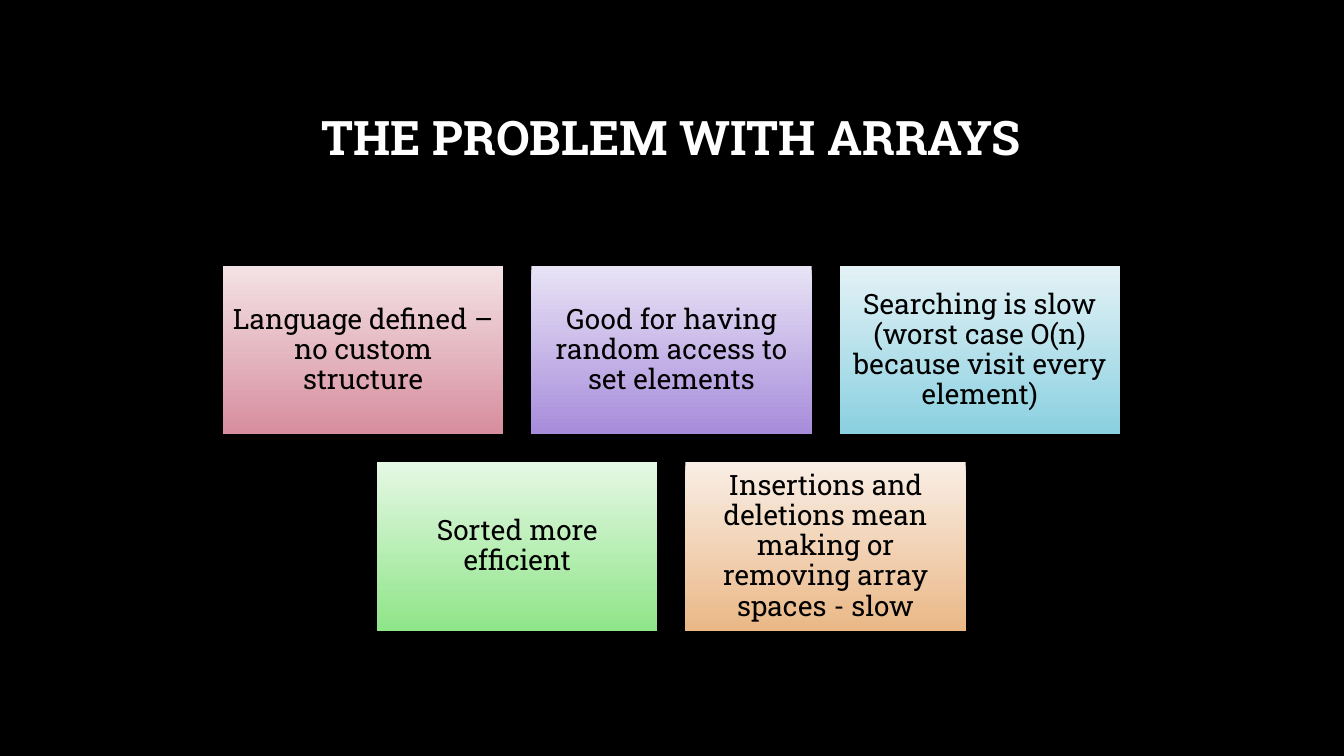
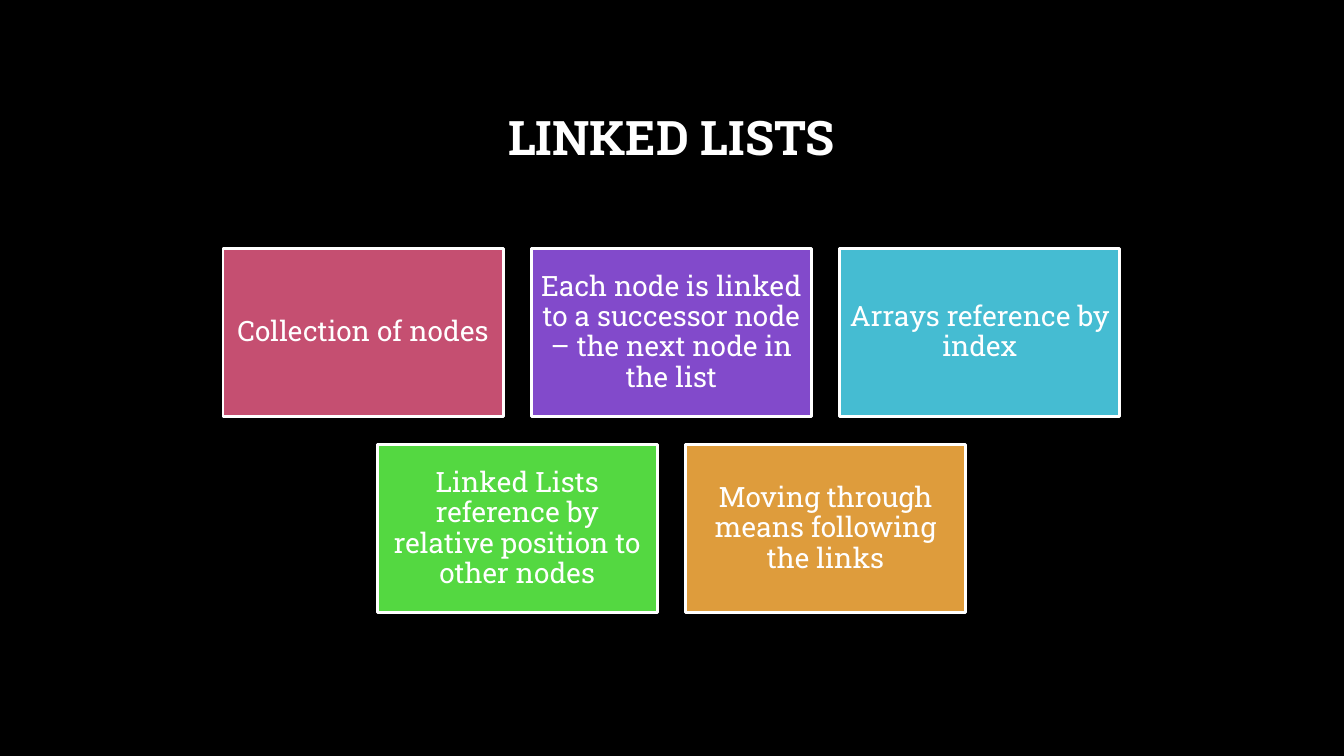
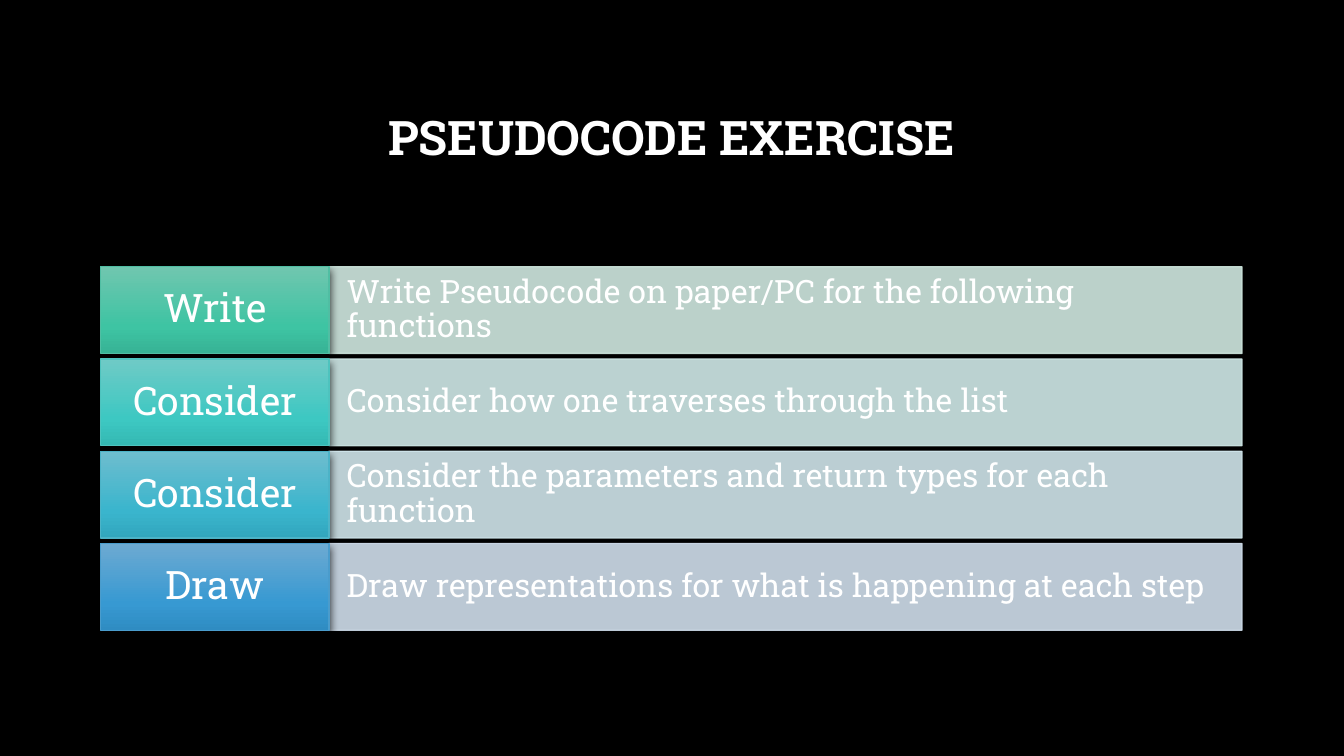
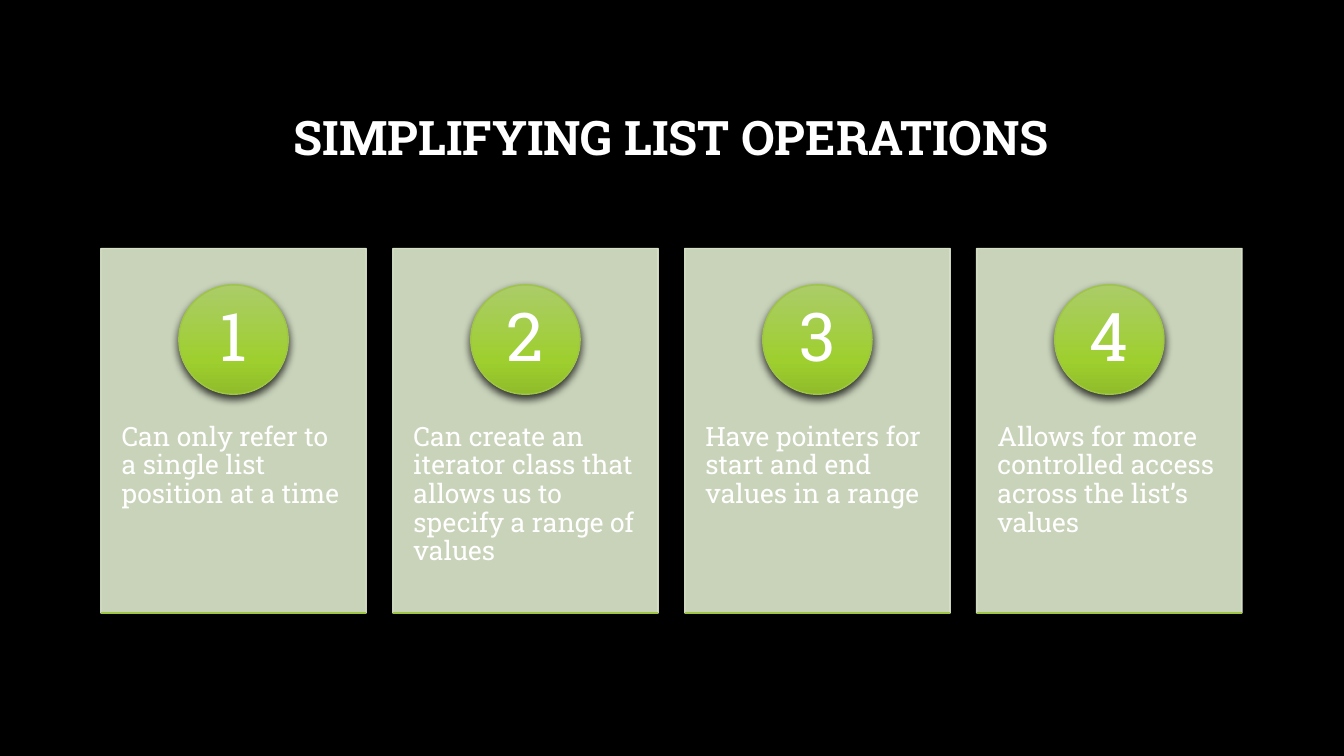
from pptx import Presentation
from pptx import util as u
from pptx.dml.color import RGBColor
from pptx.enum import shapes, text
from pptx.oxml.ns import qn
from lxml import etree

FONT = "Roboto Slab"
COLORS = {
    "background": "000000", "dark text": "000000", "light text": "FFFFFF",
    "outline": "FFFFFF", "shadow": "000000",
    "panel": "DFEACF", "panel rule": "9EC544",
}
BADGE_STOPS = ((0, "ABCC69"), (69, "9ECF2E"), (100, "90BC2A"))

ARRAY_CARDS = [
    ("Language defined – no custom structure", ((0, "F3E2E5"), (100, "D78E9E"))),
    ("Good for having random access to set elements", ((0, "E8E3F5"), (100, "A78CDB"))),
    ("Searching is slow (worst case O(n) because visit every element)",
     ((0, "E3F2F6"), (100, "8AD0E0"))),
    ("Sorted more efficient", ((0, "E5F8E4"), (100, "8FE589"))),
    ("Insertions and deletions mean making or removing array spaces - slow",
     ((0, "F9EEE5"), (100, "EAB887"))),
]
LIST_CARDS = [
    ("Collection of nodes", "C54F71"),
    ("Each node is linked to a successor node – the next node in the list", "824ACB"),
    ("Arrays reference by index", "45BCD2"),
    ("Linked Lists reference by relative position to other nodes", "54D841"),
    ("Moving through means following the links", "DE9C3C"),
]
EXERCISE_STEPS = [
    ("Write", "Write Pseudocode on paper/PC for the following functions",
     "D0E8E0", ("70C6AF", "3EC4A3", "37B395"), "50BEA3"),
    ("Consider", "Consider how one traverses through the list",
     "D0E9E8", ("6FCAC6", "3DC8C2", "34B8B3"), "4EC3BE"),
    ("Consider", "Consider the parameters and return types for each function",
     "D0E5EB", ("6EBDCE", "3AB5CD", "32A6BD"), "4CB3C7"),
    ("Draw", "Draw representations for what is happening at each step",
     "D0DEEC", ("6DAAD2", "3799D2", "2F8CC2"), "4A9CCC"),
]
OPERATIONS = [
    "Can only refer to a single list position at a time",
    "Can create an iterator class that allows us to specify a range of values",
    "Have pointers for start and end values in a range",
    "Allows for more controlled access across the list’s values",
]

LEFT, WIDTH = 72, 815.2
CENTER = LEFT + WIDTH / 2
CARD_WIDTH, CARD_HEIGHT, CARD_GAP = 200.2, 120.1, 20
PANEL_SHADOW = (54, 4, 3)
LABEL_SHADOW = (76, 6, 3)


def rgb(color):
    return RGBColor.from_string(color)


def add_color(parent, color, opacity=100):
    element = etree.SubElement(parent, qn("a:srgbClr"), val=color)
    if opacity < 100:
        etree.SubElement(element, qn("a:alpha"), val=str(opacity * 1000))


def set_alpha(fill_element, opacity):
    color = fill_element.find(qn("a:srgbClr"))
    etree.SubElement(color, qn("a:alpha"), val=str(opacity * 1000))


def set_gradient(shape, stops):
    shape.fill.gradient()
    shape.fill.gradient_angle = 270
    stop_list = shape.element.spPr.find(qn("a:gradFill")).find(qn("a:gsLst"))
    for stop in list(stop_list):
        stop_list.remove(stop)
    for position, color in stops:
        add_color(etree.SubElement(stop_list, qn("a:gs"), pos=str(position * 1000)), color)


def add_shadow(shape, opacity, blur, distance):
    effects = shape.element.spPr.find(qn("a:effectLst"))
    shadow = etree.SubElement(
        effects, qn("a:outerShdw"), blurRad=str(u.Pt(blur)), dist=str(u.Pt(distance)),
        dir="5400000", algn="ctr", rotWithShape="0")
    add_color(shadow, COLORS["shadow"], opacity)


def set_text(shape, words, size, color, insets=(6, 6), align="CENTER", anchor="MIDDLE", bold=False):
    frame = shape.text_frame
    frame.text = words
    frame.word_wrap = True
    frame.auto_size = text.MSO_AUTO_SIZE.NONE
    frame.vertical_anchor = text.MSO_ANCHOR[anchor]
    frame.margin_left = frame.margin_right = u.Pt(insets[0])
    frame.margin_top = frame.margin_bottom = u.Pt(insets[1])
    paragraph = frame.paragraphs[0]
    paragraph.alignment = text.PP_ALIGN[align]
    paragraph.line_spacing = 0.9
    font = paragraph.runs[0].font
    font.name, font.size, font.bold = FONT, u.Pt(size), bold
    font.color.rgb = rgb(color)


def add_box(slide, left, top, width, height, fill, line=None, line_width=1,
            opacity=100, shadow=None, kind="RECTANGLE"):
    shape = slide.shapes.add_shape(
        shapes.MSO_SHAPE[kind], u.Pt(left), u.Pt(top), u.Pt(width), u.Pt(height))
    if isinstance(fill, str):
        shape.fill.solid()
        shape.fill.fore_color.rgb = rgb(fill)
    else:
        set_gradient(shape, fill)
    if line:
        shape.line.color.rgb = rgb(line)
        shape.line.width = u.Pt(line_width)
    else:
        shape.line.fill.background()
    if opacity < 100:
        properties = shape.element.spPr
        set_alpha(properties.find(qn("a:solidFill")), opacity)
        set_alpha(properties.find(qn("a:ln")).find(qn("a:solidFill")), opacity)
    shape.shadow.inherit = False
    if shadow:
        add_shadow(shape, *shadow)
    return shape


def add_titled_slide(words):
    slide = presentation.slides.add_slide(presentation.slide_layouts[5])
    title = slide.shapes.title
    title.left, title.top, title.width, title.height = (
        u.Pt(LEFT), u.Pt(48), u.Pt(WIDTH), u.Pt(104.5))
    set_text(title, words, 34, COLORS["light text"], (7.2, 3.6), bold=True)
    return slide


def add_cards(slide, cards, top, color, line=None):
    for row, row_cards in enumerate((cards[:3], cards[3:])):
        count = len(row_cards)
        left = CENTER - (count * CARD_WIDTH + (count - 1) * CARD_GAP) / 2
        for column, (words, fill) in enumerate(row_cards):
            card = add_box(
                slide, left + column * (CARD_WIDTH + CARD_GAP),
                top + row * (CARD_HEIGHT + CARD_GAP), CARD_WIDTH, CARD_HEIGHT, fill, line, 2)
            set_text(card, words, 20, color)


def add_steps(slide, steps):
    top, height, pitch, label_width = 190.5, 62, 65.9, 163
    for index, (name, words, bar_color, label_colors, label_line) in enumerate(steps):
        y = top + index * pitch
        bar = add_box(slide, LEFT + label_width, y, WIDTH - label_width, height,
                      bar_color, bar_color, opacity=90, shadow=PANEL_SHADOW)
        set_text(bar, words, 23, COLORS["light text"], (12.7, 15.8), "LEFT")
        label = add_box(slide, LEFT, y, label_width, height,
                        tuple(zip((0, 69, 100), label_colors)), label_line, shadow=LABEL_SHADOW)
        set_text(label, name, 28, COLORS["light text"], (8.6, 6.2))


def add_panels(slide, operations):
    top, width, height, diameter = 177.5, 189.6, 260.4, 78.1
    pitch = (WIDTH - width) / (len(operations) - 1)
    for index, words in enumerate(operations):
        left = LEFT + index * pitch
        panel = add_box(slide, left, top, width, height, COLORS["panel"], COLORS["panel"],
                        opacity=90, shadow=PANEL_SHADOW)
        set_text(panel, words, 19, COLORS["light text"], (14.8, 26), "LEFT", "TOP")
        panel.text_frame.margin_top = u.Pt(124.7)
        badge = add_box(slide, left + (width - diameter) / 2, top + 26, diameter, diameter,
                        BADGE_STOPS, COLORS["panel rule"], shadow=LABEL_SHADOW, kind="OVAL")
        set_text(badge, str(index + 1), 48, COLORS["light text"], (6, 1))
        bottom = u.Pt(top + height)
        rule = slide.shapes.add_connector(
            shapes.MSO_CONNECTOR.STRAIGHT, u.Pt(left), bottom, u.Pt(left + width), bottom)
        rule.line.color.rgb = rgb(COLORS["panel rule"])
        rule.line.width = u.Pt(1)
        etree.SubElement(rule.element.spPr, qn("a:effectLst"))


presentation = Presentation()
presentation.slide_width, presentation.slide_height = u.Pt(960), u.Pt(540)
background = presentation.slide_master.background.fill
background.solid()
background.fore_color.rgb = rgb(COLORS["background"])

add_cards(add_titled_slide("THE PROBLEM WITH ARRAYS"), ARRAY_CARDS, 190.2, COLORS["dark text"])
add_cards(add_titled_slide("LINKED LISTS"), LIST_CARDS, 177.6, COLORS["light text"],
          COLORS["outline"])
add_steps(add_titled_slide("PSEUDOCODE EXERCISE"), EXERCISE_STEPS)
add_panels(add_titled_slide("SIMPLIFYING LIST OPERATIONS"), OPERATIONS)

presentation.save("out.pptx")
